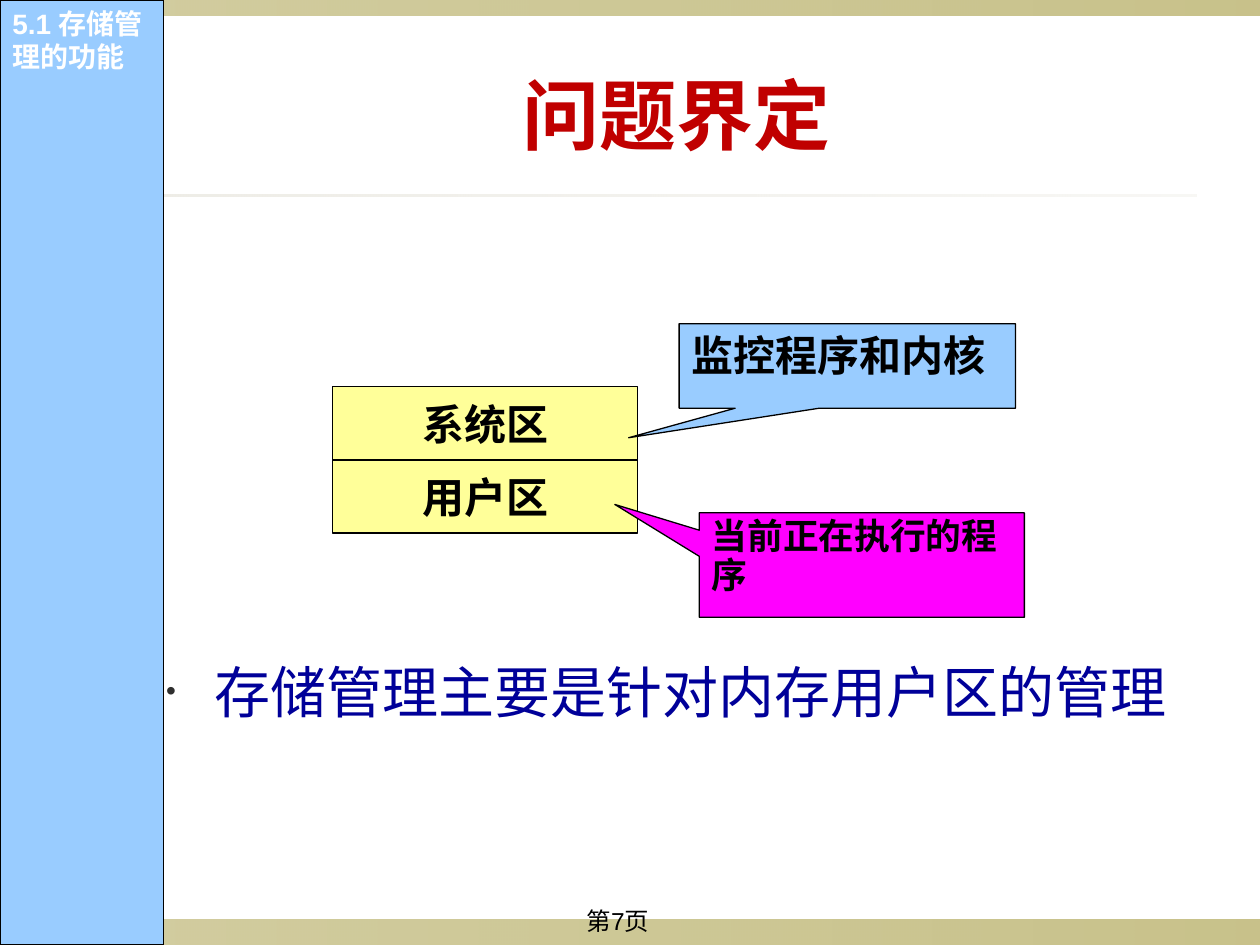
from lxml.etree import SubElement
from pptx import Presentation
from pptx.dml.color import RGBColor
from pptx.enum.shapes import MSO_SHAPE
from pptx.enum.text import MSO_ANCHOR, PP_ALIGN
from pptx.oxml.ns import qn
from pptx.util import Inches, Pt

OLIVE, STONE, SKY, YELLOW, MAGENTA = "918415", "DCD9CC", "99CCFF", "FFFF99", "FF00FF"
BLACK, WHITE, RED, NAVY, GRAY = "000000", "FFFFFF", "C00000", "000099", "2F2F2F"

# left, top, width, height; colour; opacity in percent at the left and right end
BANDS = [
    ((0, 7.3, 10, 0.2), OLIVE, (40, 50)),
    ((0, 0, 10, 0.12), OLIVE, (40, 50)),
    ((0.5, 1.54, 9, 0.02), STONE, (50, 20)),
]
PAGE_NUMBER = "第7页"
TITLE = "问题界定"
CONCLUSION = "存储管理主要是针对内存用户区的管理"
SECTION = "5.1 存储管理的功能"

MEMORY_AREAS = ["系统区", "用户区"]
MEMORY_LEFT, MEMORY_TOP, MEMORY_WIDTH, AREA_HEIGHT = 2.64, 3.07, 2.42, 0.58

# text, place, fill, pointer tip, text size, line spacing
CALLOUTS = [
    ("监控程序和内核", (5.39, 2.57, 2.67, 0.67), SKY, (-0.65, 0.85), 24, 1.0),
    ("当前正在执行的程序", (5.55, 4.07, 2.58, 0.83), MAGENTA, (-0.76, -0.58), 20.4, 0.9),
]


def color(value):
    return RGBColor.from_string(value)


def add_block(page, place, fill=None, kind=MSO_SHAPE.RECTANGLE):
    """Add a shape; with a fill colour it also gets a thin black outline."""
    block = page.shapes.add_shape(kind, *map(Inches, place))
    block.shadow.inherit = False
    if fill:
        block.fill.solid()
        block.fill.fore_color.rgb = color(fill)
        block.line.color.rgb = color(BLACK)
        block.line.width = Pt(0.75)
    else:
        block.line.fill.background()
    return block


def add_band(page, place, tint, opacities):
    band = add_block(page, place)
    band.fill.gradient()
    band.fill.gradient_angle = 0
    for stop, opacity in zip(band.fill.gradient_stops, opacities):
        stop.color.rgb = color(tint)
    for tag, opacity in zip(band.element.spPr.iter(qn("a:srgbClr")), opacities):
        SubElement(tag, qn("a:alpha"), val=str(opacity * 1000))


def write(box, text, size, font, tint, bold=False, align=PP_ALIGN.LEFT,
          anchor=MSO_ANCHOR.TOP, wrap=True):
    frame = box.text_frame
    frame.word_wrap = wrap
    frame.vertical_anchor = anchor
    para = frame.paragraphs[0]
    para.alignment = align
    span = para.add_run()
    span.text = text
    span.font.size = Pt(size)
    span.font.name = font
    span.font.bold = bold
    span.font.color.rgb = color(tint)
    return para


def add_text(page, place, *args, **options):
    box = page.shapes.add_textbox(*map(Inches, place))
    return write(box, *args, **options)


def add_bullet(para, indent, tint, percent):
    props = para._p.get_or_add_pPr()
    props.set("marL", str(Inches(indent)))
    props.set("indent", str(-Inches(indent)))
    SubElement(SubElement(props, qn("a:buClr")), qn("a:srgbClr"), val=tint)
    SubElement(props, qn("a:buSzPct"), val=str(percent * 1000))
    SubElement(props, qn("a:buFont"), typeface="Arial")
    SubElement(props, qn("a:buChar"), char="•")


def main():
    deck = Presentation()
    deck.slide_width, deck.slide_height = Inches(10), Inches(7.5)
    page = deck.slides.add_slide(deck.slide_layouts[6])

    for band in BANDS:
        add_band(page, *band)
    add_text(page, (3.74, 7.14, 2.33, 0.36), PAGE_NUMBER, 14, "Arial", BLACK,
             align=PP_ALIGN.CENTER)
    add_text(page, (0.98, 0.28, 8.78, 1.25), TITLE, 44, "Roboto", RED, bold=True,
             align=PP_ALIGN.CENTER, anchor=MSO_ANCHOR.MIDDLE)
    conclusion = add_text(page, (1.22, 5.17, 8.78, 1.23), CONCLUSION, 32, "Roboto", NAVY)
    add_bullet(conclusion, 0.38, GRAY, 50)

    for row, name in enumerate(MEMORY_AREAS):
        top = MEMORY_TOP + row * AREA_HEIGHT
        area = add_block(page, (MEMORY_LEFT, top, MEMORY_WIDTH, AREA_HEIGHT), YELLOW)
        write(area, name, 24, "Times New Roman", BLACK, bold=True,
              align=PP_ALIGN.CENTER, anchor=MSO_ANCHOR.MIDDLE, wrap=False)

    for text, place, fill, tip, size, spacing in CALLOUTS:
        callout = add_block(page, place, fill, MSO_SHAPE.RECTANGULAR_CALLOUT)
        callout.adjustments[0], callout.adjustments[1] = tip
        para = write(callout, text, size, "Times New Roman", BLACK, bold=True)
        para.line_spacing = spacing

    add_block(page, (0, 0, 1.3, 7.5), SKY)
    add_text(page, (0, 0, 1.38, 0.64), SECTION, 16, "Arial", WHITE, bold=True)
    deck.save("out.pptx")


if __name__ == "__main__":
    main()
